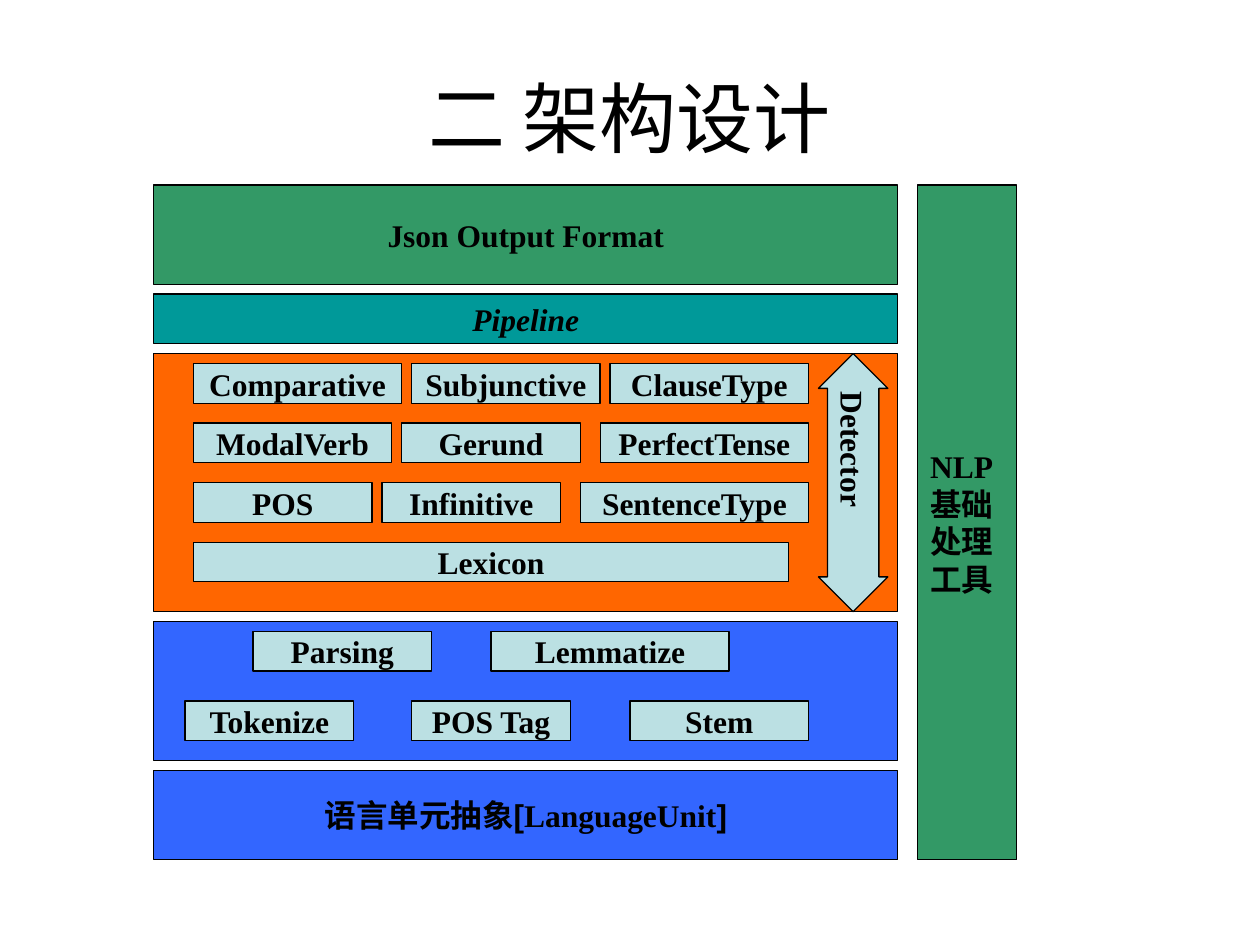
from pptx import Presentation
from pptx.dml.color import RGBColor
from pptx.enum.shapes import MSO_SHAPE
from pptx.enum.text import MSO_ANCHOR, PP_ALIGN
from pptx.util import Cm, Pt

RECTANGLE = MSO_SHAPE.RECTANGLE
UP_DOWN_ARROW = MSO_SHAPE.UP_DOWN_ARROW
MIDDLE = MSO_ANCHOR.MIDDLE
LEFT, CENTER = PP_ALIGN.LEFT, PP_ALIGN.CENTER

SERIF, SANS = "Times New Roman", "Arial"
BLACK, GREEN, TEAL = "000000", "339966", "009999"
ORANGE, BLUE, PALE = "FF6600", "3366FF", "BBE0E3"
GAP = 0.2
LAYER_LEFT, LAYER_WIDTH, STACK_TOP = 3.1, 15, 3.73
BOX_HEIGHT = 0.8


def write_spans(frame, spans, align=CENTER, **formats):
    """Fill the first paragraph with (text, font name) spans."""
    frame.vertical_anchor = MIDDLE
    para = frame.paragraphs[0]
    para.alignment = align
    for text, font_name in spans:
        span = para.add_run()
        span.text = text
        span.font.color.rgb = RGBColor.from_string(BLACK)
        values = {"name": font_name, "size": Pt(18), "bold": True, **formats}
        for name, value in values.items():
            setattr(span.font, name, value)


def add_box(left, top, width, height, fill, spans=(), kind=RECTANGLE, **formats):
    """Add an outlined shape; lengths are in centimetres."""
    box = slide.shapes.add_shape(kind, Cm(left), Cm(top), Cm(width), Cm(height))
    box.shadow.inherit = False
    box.fill.solid()
    box.fill.fore_color.rgb = RGBColor.from_string(fill)
    box.line.color.rgb = RGBColor.from_string(BLACK)
    box.line.width = Pt(0.75)
    write_spans(box.text_frame, spans, **formats)
    return box


deck = Presentation()
deck.slide_width, deck.slide_height = Cm(25.4), Cm(19.05)
slide = deck.slides.add_slide(deck.slide_layouts[5])

title = slide.shapes.title
title.left, title.top, title.width, title.height = Cm(1.27), Cm(0.76), Cm(22.86), Cm(3.18)
write_spans(title.text_frame, [("二 架构设计", SANS)], size=Pt(44), bold=False)

# Layers, from top to bottom: height, fill, text, extra formats
layers = [
    (2, GREEN, [("Json Output Format", SERIF)], {}),
    (1, TEAL, [("Pipeline", SERIF)], {"italic": True}),
    (5.2, ORANGE, [], {}),
    (2.8, BLUE, [], {}),
    (1.8, BLUE, [("语言单元抽象[", SANS), ("LanguageUnit", SERIF), ("]", SANS)], {}),
]
layer_tops = []
next_top = STACK_TOP
for height, fill, spans, formats in layers:
    add_box(LAYER_LEFT, next_top, LAYER_WIDTH, height, fill, spans, **formats)
    layer_tops.append(next_top)
    next_top += height + GAP
detector_top, basics_top = layer_tops[2:4]

add_box(LAYER_LEFT + LAYER_WIDTH + 2 * GAP, STACK_TOP, 2, next_top - GAP - STACK_TOP,
        GREEN, [("NLP ", SERIF), ("基础处理工具", SANS)], align=LEFT)

# Component rows: layer top, row pitch, rows of (text, left, width)
component_groups = [
    (detector_top, 1.2, [
        [("Comparative", 3.9, 4.2), ("Subjunctive", 8.3, 3.8), ("ClauseType", 12.3, 4)],
        [("ModalVerb", 3.9, 4), ("Gerund", 8.1, 3.6), ("PerfectTense", 12.1, 4.2)],
        [("POS", 3.9, 3.6), ("Infinitive", 7.7, 3.6), ("SentenceType", 11.7, 4.6)],
        [("Lexicon", 3.9, 12)],
    ]),
    (basics_top, 1.4, [
        [("Parsing", 5.1, 3.6), ("Lemmatize", 9.9, 4.8)],
        [("Tokenize", 3.73, 3.4), ("POS Tag", 8.3, 3.2), ("Stem", 12.7, 3.6)],
    ]),
]
for group_top, pitch, rows in component_groups:
    for row_index, row in enumerate(rows):
        row_top = group_top + GAP + row_index * pitch
        for text, left, width in row:
            add_box(left, row_top, width, BOX_HEIGHT, PALE, [(text, SERIF)])

arrow = add_box(16.5, detector_top, 1.4, 5.2, PALE, [("Detector", SERIF)], UP_DOWN_ARROW)
arrow.adjustments[0] = 0.5
arrow.adjustments[1] = 0.74
frame = arrow.text_frame
frame.word_wrap = False
frame.margin_left = frame.margin_right = Cm(0.13)
frame.margin_top = frame.margin_bottom = Cm(0.25)
frame._txBody.bodyPr.set("vert", "eaVert")

deck.save("out.pptx")
